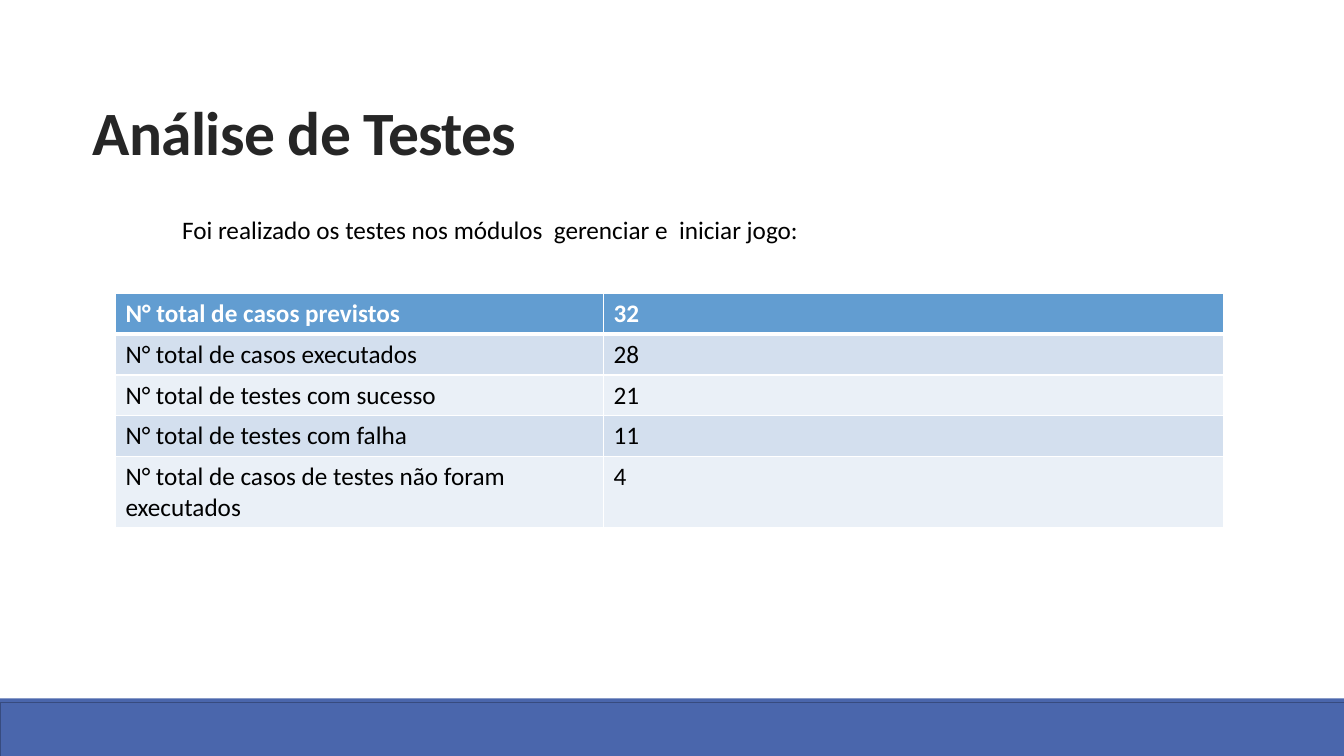
from lxml import etree
from pptx import Presentation
from pptx.dml.color import RGBColor
from pptx.enum.shapes import MSO_SHAPE
from pptx.enum.text import MSO_ANCHOR, PP_ALIGN
from pptx.oxml.ns import qn
from pptx.util import Cm, Pt

RECTANGLE = MSO_SHAPE.RECTANGLE
BOTTOM = MSO_ANCHOR.BOTTOM
LEFT = PP_ALIGN.LEFT

INDIGO = RGBColor(0x4A, 0x66, 0xAC)
INDIGO_EDGE = RGBColor(0x37, 0x4B, 0x7F)
SKY = RGBColor(0x62, 0x9D, 0xD1)
BAND_DARK = RGBColor(0xD3, 0xDF, 0xEE)
BAND_LIGHT = RGBColor(0xEA, 0xF0, 0xF7)
CHARCOAL = RGBColor(0x26, 0x26, 0x26)
BLACK = RGBColor(0, 0, 0)
WHITE = RGBColor(0xFF, 0xFF, 0xFF)

TITLE_ONLY = 5
TEST_COUNTS = [
    ("N° total de casos previstos", "32"),
    ("N° total de casos executados", "28"),
    ("N° total de testes com sucesso", "21"),
    ("N° total de testes com falha", "11"),
    ("N° total de casos de testes não foram executados", "4"),
]


class ReportSlide:
    font_name = "Calibri"
    body_size = Pt(18)

    def __init__(self, presentation):
        self.slide = presentation.slides.add_slide(
            presentation.slide_layouts[TITLE_ONLY])

    def style(self, paragraph, size, color, bold=False):
        font = paragraph.font
        font.name = self.font_name
        font.size = size
        font.bold = bold
        font.color.rgb = color

    def title(self, text, left, top, width, height):
        heading = self.slide.shapes.title
        heading.left, heading.top = left, top
        heading.width, heading.height = width, height
        frame = heading.text_frame
        frame.text = text
        frame.vertical_anchor = BOTTOM
        paragraph = frame.paragraphs[0]
        paragraph.alignment = LEFT
        paragraph.line_spacing = 0.85
        self.style(paragraph, Pt(44), CHARCOAL, bold=True)
        paragraph.runs[0].font._element.set("spc", "-50")

    def bar(self, left, top, width, height, fill, edge=None):
        bar = self.slide.shapes.add_shape(RECTANGLE, left, top, width, height)
        bar.shadow.inherit = False
        bar.fill.solid()
        bar.fill.fore_color.rgb = fill
        if edge is None:
            bar.line.fill.background()
        else:
            bar.line.color.rgb = edge
            bar.line.width = Pt(1.25)

    def sentence(self, text, left, top, width, height, indent):
        box = self.slide.shapes.add_textbox(left, top, width, height)
        frame = box.text_frame
        frame.word_wrap = True
        frame.text = text
        paragraph = frame.paragraphs[0]
        paragraph._p.get_or_add_pPr().set("indent", str(indent))
        self.style(paragraph, self.body_size, BLACK)

    def table(self, rows, left, top, column_widths, row_heights):
        table = self.slide.shapes.add_table(
            len(rows), len(column_widths), left, top,
            sum(column_widths), sum(row_heights)).table
        for column, width in zip(table.columns, column_widths):
            column.width = width
        for index, (row, height) in enumerate(zip(rows, row_heights)):
            table.rows[index].height = height
            is_header = index == 0
            fill = SKY if is_header else (BAND_LIGHT, BAND_DARK)[index % 2]
            for column, text in enumerate(row):
                cell = table.cell(index, column)
                cell.text = text
                self.style(cell.text_frame.paragraphs[0], self.body_size,
                           WHITE if is_header else BLACK, bold=is_header)
                self.borders(cell, top=3 if index == 1 else 1,
                             bottom=3 if is_header else 1)
                cell.fill.solid()
                cell.fill.fore_color.rgb = fill

    def borders(self, cell, top, bottom):
        """Draw white cell edges; top and bottom are widths in points."""
        properties = cell._tc.get_or_add_tcPr()
        for tag, width in (("a:lnL", 1), ("a:lnR", 1),
                           ("a:lnT", top), ("a:lnB", bottom)):
            edge = etree.SubElement(properties, qn(tag), w=str(Pt(width)))
            solid = etree.SubElement(edge, qn("a:solidFill"))
            etree.SubElement(solid, qn("a:srgbClr"), val=str(WHITE))


def main():
    presentation = Presentation()
    presentation.slide_width = Cm(33.87)
    presentation.slide_height = Cm(19.05)

    report = ReportSlide(presentation)
    report.bar(Cm(0), Cm(17.6), Cm(33.87), Cm(0.18), INDIGO)
    report.title("Análise de Testes", Cm(2.08), Cm(1.96), Cm(13.69), Cm(2.41))
    report.bar(Cm(0), Cm(17.7), Cm(34.87), Cm(2.08), INDIGO, INDIGO_EDGE)
    report.sentence(
        "Foi realizado os testes nos módulos  gerenciar e  iniciar jogo:",
        Cm(3.91), Cm(5.28), Cm(26.54), Cm(1.8), indent=Cm(0.43))
    report.table(TEST_COUNTS, Cm(2.91), Cm(7.39),
                 column_widths=[Cm(12.3), Cm(15.63)],
                 row_heights=[Cm(1.03)] * 4 + [Cm(1.78)])

    presentation.save("out.pptx")


if __name__ == "__main__":
    main()
